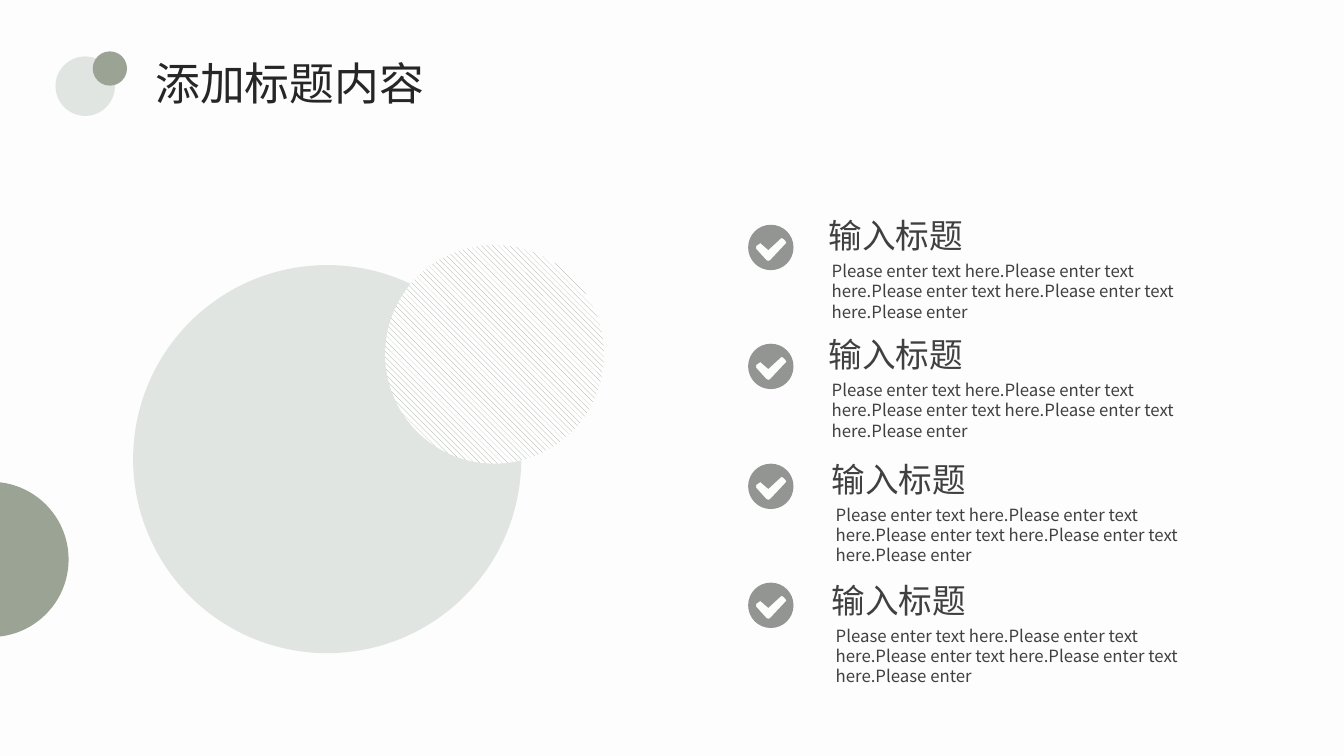
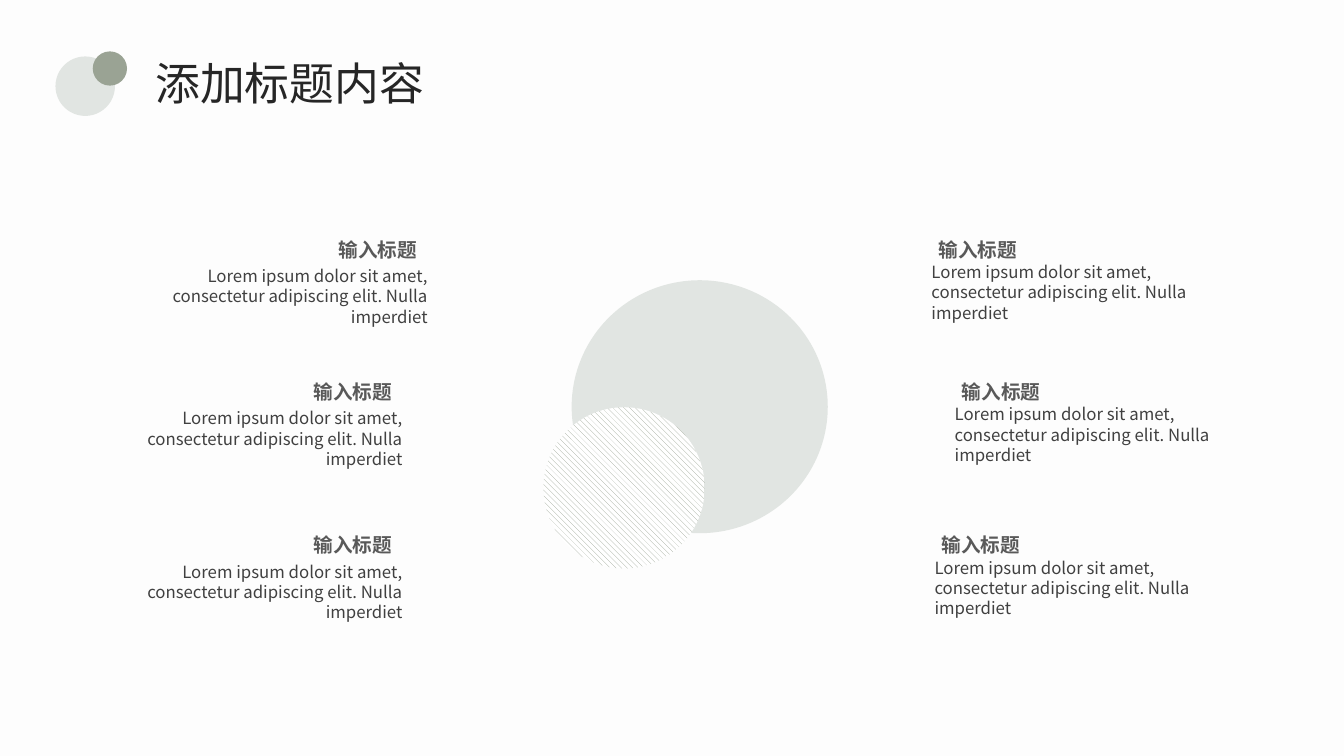
"""Build two slides of overlapping circles with short captioned texts."""
from lxml.etree import SubElement
from pptx import Presentation
from pptx.dml.color import RGBColor
from pptx.enum.dml import MSO_PATTERN
from pptx.enum.shapes import MSO_SHAPE
from pptx.enum.text import MSO_ANCHOR, MSO_AUTO_SIZE as FIT, PP_ALIGN
from pptx.oxml.ns import qn
from pptx.util import Pt

PX = 9144
FONT = "Noto Sans CJK SC"
BACKGROUND, WHITE = "FDFDFD", "FFFFFF"
MIST, SAGE, GREY = "E1E5E2", "9AA394", "929591"
TITLE_INK, TEXT_INK, CAPTION_INK = "262626", "404040", "595959"
CAPTION = "输入标题"
rgb = RGBColor.from_string


def paint(shape, colour, hatched=False):
    if hatched:
        shape.fill.patterned()
        shape.fill.pattern = MSO_PATTERN.WIDE_DOWNWARD_DIAGONAL
        shape.fill.back_color.rgb = rgb(WHITE)
    else:
        shape.fill.solid()
    shape.fill.fore_color.rgb = rgb(colour)
    shape.line.fill.background()
    shape.shadow.inherit = False


def write(box, text, size, colour, align=PP_ALIGN.LEFT, bold=False, wrap=True, fit=FIT.SHAPE_TO_FIT_TEXT):
    frame = box.text_frame
    frame.text = text
    frame.word_wrap = wrap
    frame.auto_size = fit
    frame.vertical_anchor = MSO_ANCHOR.TOP
    para = frame.paragraphs[0]
    para.alignment = align
    font = para.runs[0].font
    font.name, font.size, font.bold = FONT, Pt(size), bold
    font.color.rgb = rgb(colour)
    SubElement(para.runs[0]._r.get_or_add_rPr(), qn("a:ea"), typeface=FONT)
    return frame


deck = Presentation()
deck.slide_width, deck.slide_height = 1333 * PX, 750 * PX
master_fill = deck.slide_master.background.fill
master_fill.solid()
master_fill.fore_color.rgb = rgb(BACKGROUND)

page_discs = [
    [(132, 263, 385, 385, MIST, False), (382, 243, 217, 217, SAGE, True), (-86, 478, 154, 154, SAGE, False)],
    [(567, 278, 254, 251, MIST, False), (539, 404, 160, 160, SAGE, True)],
]
title_discs = [(55, 56, 59, 59, MIST, False), (92, 51, 34, 34, SAGE, False)]

for discs in page_discs:
    page = deck.slides.add_slide(deck.slide_layouts[5])
    title = page.shapes.title
    title.left, title.top, title.width, title.height = 144 * PX, 50 * PX, 289 * PX, 64 * PX
    write(title, "添加标题内容", 32, TITLE_INK, wrap=False)
    badge = page.shapes.add_group_shape()
    for shapes, group in ((badge.shapes, title_discs), (page.shapes, discs)):
        for left, top, width, height, colour, hatched in group:
            disc = shapes.add_shape(MSO_SHAPE.OVAL, left * PX, top * PX, width * PX, height * PX)
            paint(disc, colour, hatched)

checklist_page, circle_page = deck.slides

FINE = 100
SIZE, MIDDLE, NEAR, FAR = 45, 22.5, 10, 35
rim = [(MIDDLE, SIZE), (NEAR, SIZE), (0, FAR), (0, MIDDLE), (0, NEAR), (NEAR, 0), (MIDDLE, 0),
       (FAR, 0), (SIZE, NEAR), (SIZE, MIDDLE), (SIZE, FAR), (FAR, SIZE), (MIDDLE, SIZE)]
tick = [(37, 16), (35, 14), (33, 13), (32, 14), (20, 25), (13, 19), (12, 18), (11, 19),
        (8, 21), (8, 24), (18, 35), (20, 36), (22, 35), (37, 19), (38, 18)]

rows = [(812, 208, 815), (812, 326, 815), (815, 450, 819), (815, 570, 819)]
for row, (heading_left, top, body_left) in enumerate(rows):
    icon_top = 223 + row * 237 // 2
    rim_points, tick_points = [
        [((742 + x) * FINE, (icon_top + y) * FINE) for x, y in outline] for outline in (rim, tick)]
    builder = checklist_page.shapes.build_freeform(*rim_points[0], scale=PX / FINE)
    builder.add_line_segments(rim_points[1:], close=True)
    builder.move_to(*tick_points[0])
    builder.add_line_segments(tick_points[1:], close=True)
    icon = builder.convert_to_shape()
    paint(icon, GREY)
    segments = list(icon._element.iter(qn("a:lnTo")))[:len(rim) - 1]
    for start in range(0, len(segments), 3):
        curve, *others = segments[start:start + 3]
        curve.tag = qn("a:cubicBezTo")
        for segment in others:
            curve.append(segment[0])
            segment.getparent().remove(segment)

    body = checklist_page.shapes.add_textbox(body_left * PX, (top + 46) * PX, 411 * PX, 50 * PX)
    write(body, "Please enter text here." * 4 + "Please enter", 12, TEXT_INK)
    heading = checklist_page.shapes.add_textbox(heading_left * PX, top * PX, 462 * PX, 50 * PX)
    write(heading, CAPTION, 24, TEXT_INK)

caption_tops = [228, 369, 521]
columns = [
    (PP_ALIGN.RIGHT, [231, 206, 206], 203, -116, 31, 319),
    (PP_ALIGN.LEFT, [911, 934, 914], 191, 3, 27, 301),
]
for align, lefts, caption_width, shift, drop, body_width in columns:
    for left, top in zip(lefts, caption_tops):
        caption = circle_page.shapes.add_textbox(left * PX, top * PX, caption_width * PX, 35 * PX)
        frame = write(caption, CAPTION, 14, CAPTION_INK, align, bold=True, fit=FIT.NONE)
        frame.vertical_anchor = MSO_ANCHOR.MIDDLE
        frame.margin_left = frame.margin_right = 20 * PX
        frame.margin_top = frame.margin_bottom = 10 * PX
        frame.paragraphs[0].line_spacing = 1.2
        body = circle_page.shapes.add_textbox((left + shift) * PX, (top + drop) * PX, body_width * PX, 50 * PX)
        write(body, "Lorem ipsum dolor sit amet, consectetur adipiscing elit. Nulla imperdiet", 12, TEXT_INK, align)

deck.save("out.pptx")
